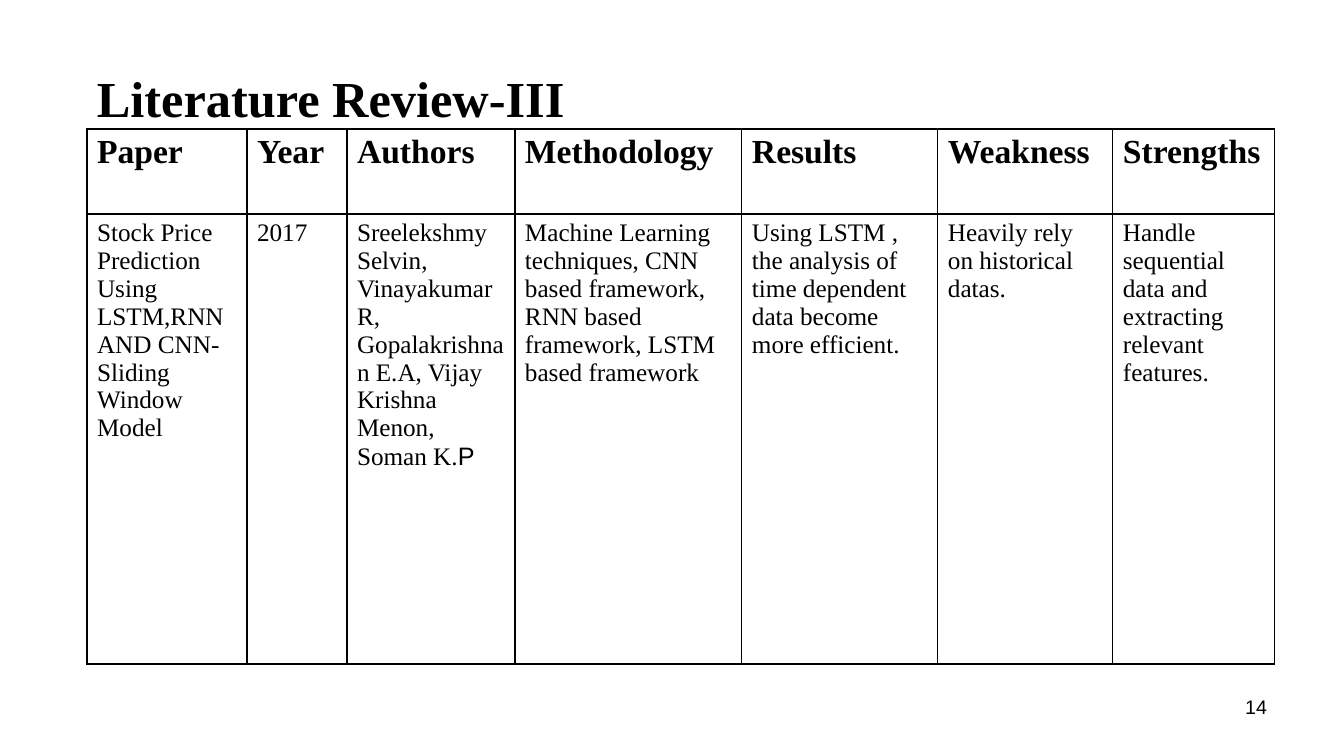
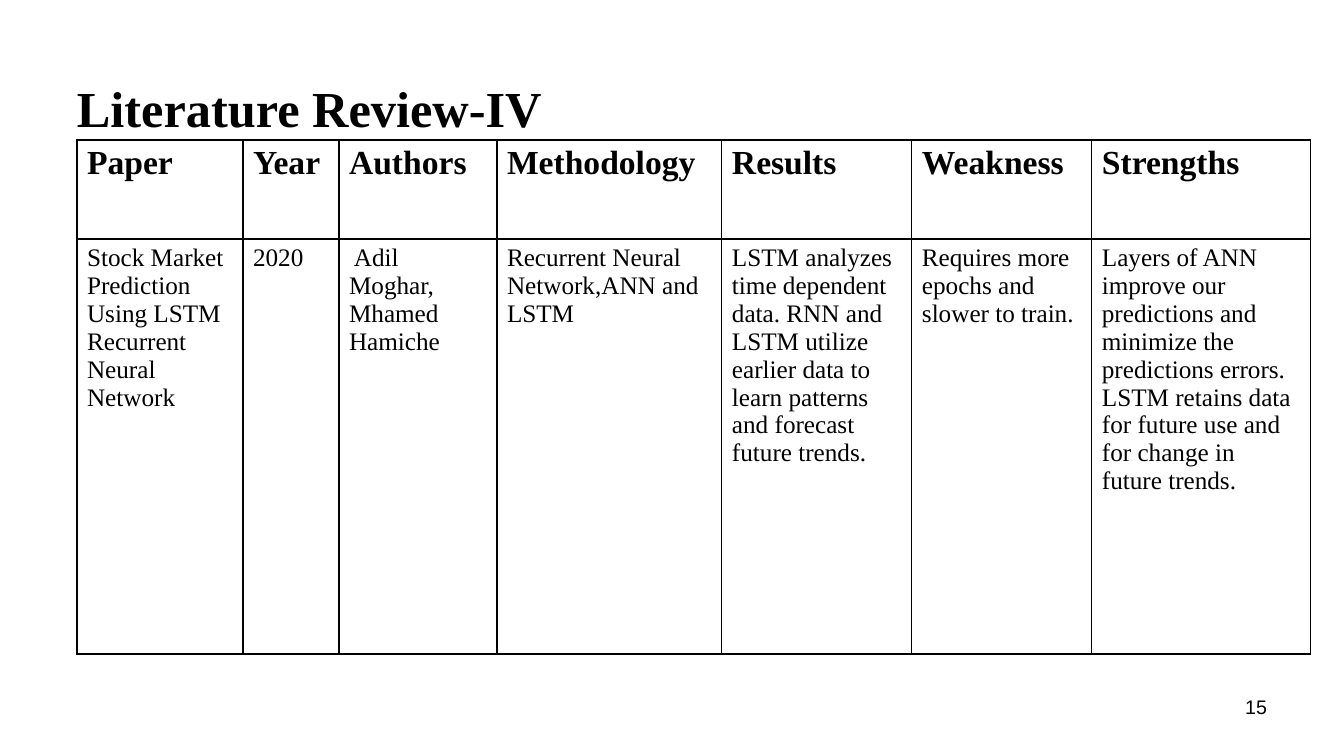
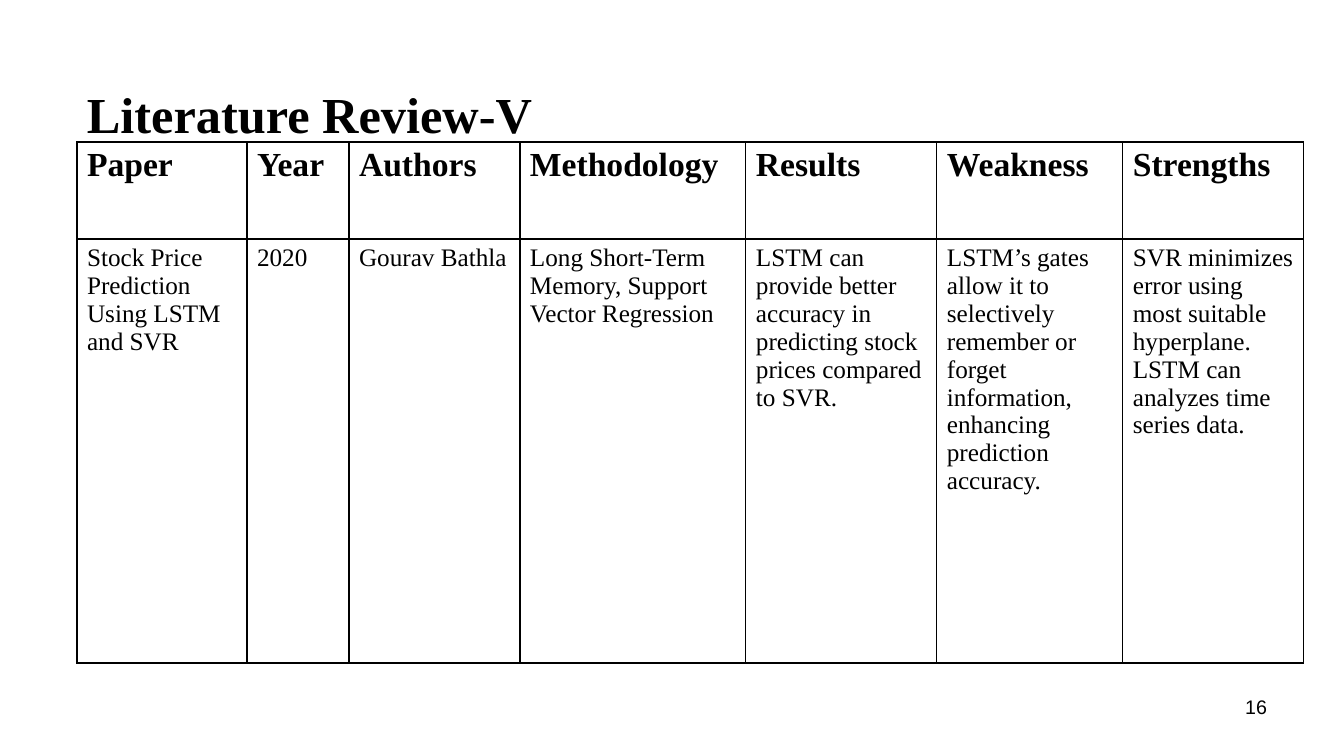
from pptx import Presentation
from pptx.dml.color import RGBColor
from pptx.enum.text import MSO_ANCHOR as Anchor, PP_ALIGN as Align
from pptx.oxml import parse_xml
from pptx.oxml.ns import nsdecls
from pptx.util import Emu, Pt

BLACK = RGBColor(0x00, 0x00, 0x00)
WHITE = RGBColor(0xFF, 0xFF, 0xFF)
SERIF = "Times New Roman"
SANS = "Arial"
SLIDE_SIZE = (1344, 756)
TITLE_SIZE = (1210, 126)
NUMBER_BOX = (964, 688, 313, 52)
FIRST_NUMBER = 14
HEADINGS = ["Paper", "Year", "Authors", "Methodology", "Results", "Weakness", "Strengths"]

REVIEWS = [
    {
        "title": "Literature Review-III",
        "title_at": (87, 30),
        "table_at": (87, 129),
        "columns": [160, 100, 168, 227, 196, 175, 162],
        "rows": [85, 450],
        "entries": [
            "Stock Price Prediction Using LSTM,RNN AND CNN-Sliding Window\nModel",
            "2017",
            "Sreelekshmy Selvin, Vinayakumar R, Gopalakrishnan E.A, Vijay Krishna Menon,\nSoman K.",
            "Machine Learning techniques, CNN based framework, RNN based framework, "
            "LSTM based framework",
            "Using LSTM , the analysis of time dependent\ndata become more efficient.",
            "Heavily rely on historical datas.",
            "Handle sequential data and extracting relevant features.",
        ],
        "author_initial": "P",
    },
    {
        "title": "Literature Review-IV",
        "title_at": (67, 40),
        "table_at": (77, 140),
        "columns": [166, 96, 158, 225, 190, 180, 219],
        "rows": [99, 415],
        "entries": [
            "Stock Market Prediction Using LSTM Recurrent Neural Network",
            "2020",
            " Adil Moghar, Mhamed Hamiche",
            "Recurrent Neural Network,ANN and LSTM",
            "LSTM analyzes time dependent data. RNN and LSTM utilize earlier data to learn "
            "patterns and forecast future trends.",
            "Requires more epochs and slower to train.",
            "Layers of ANN improve our predictions and minimize the predictions errors. "
            "LSTM retains data for future use and for change in future trends.",
        ],
    },
    {
        "title": "Literature Review-V",
        "title_at": (77, 46),
        "table_at": (77, 142),
        "columns": [170, 102, 171, 226, 191, 186, 181],
        "rows": [97, 424],
        "entries": [
            "Stock Price Prediction Using LSTM and SVR",
            "2020",
            "Gourav Bathla",
            "Long Short-Term Memory, Support Vector Regression",
            "LSTM can provide better accuracy in predicting stock\nprices compared to SVR.",
            "LSTM’s gates allow it to selectively remember or\n"
            "forget information, enhancing prediction accuracy.",
            "SVR minimizes error using most suitable\n"
            "hyperplane. LSTM can analyzes time series data.",
        ],
    },
]


def px(length):
    return Emu(round(length * 914400 / 100.8))


def write(frame, text, size, font, bold=False, align=Align.LEFT):
    frame.word_wrap = True
    frame.text = text
    for para in frame.paragraphs:
        para.alignment = align
        para.font.size = Pt(size)
        para.font.name = font
        para.font.bold = bold
        para.font.color.rgb = BLACK


def add_title(page, text, position):
    frame = page.shapes.add_textbox(*map(px, position + TITLE_SIZE)).text_frame
    frame.vertical_anchor = Anchor.MIDDLE
    frame.margin_top = px(13)
    write(frame, text, 36, SERIF, bold=True)


def add_number(page, number):
    frame = page.shapes.add_textbox(*map(px, NUMBER_BOX)).text_frame
    frame.margin_top = px(7)
    write(frame, str(number), 14, SANS, align=Align.RIGHT)


def outline(cell):
    properties = cell._tc.get_or_add_tcPr()
    for place, side in enumerate(("lnL", "lnR", "lnT", "lnB")):
        properties.insert(place, parse_xml(
            f'<a:{side} {nsdecls("a")} w="{Pt(1)}"><a:solidFill>'
            f'<a:srgbClr val="{BLACK}"/></a:solidFill></a:{side}>'))


def add_review_table(page, position, columns, rows, entries):
    box = position + (sum(columns), sum(rows))
    table = page.shapes.add_table(len(rows), len(columns), *map(px, box)).table
    table.first_row = False
    table.horz_banding = False
    for column, width in zip(table.columns, columns):
        column.width = px(width)
    for row, height in zip(table.rows, rows):
        row.height = px(height)
    for index, texts in enumerate((HEADINGS, entries)):
        heading = index == 0
        for cell, text in zip(table.rows[index].cells, texts):
            cell.fill.background()
            outline(cell)
            write(cell.text_frame, text, 24 if heading else 18, SERIF, bold=heading)
    return table


def add_review(deck, review, number):
    page = deck.slides.add_slide(deck.slide_layouts[6])
    page.background.fill.solid()
    page.background.fill.fore_color.rgb = WHITE
    add_title(page, review["title"], review["title_at"])
    table = add_review_table(page, review["table_at"], review["columns"],
                             review["rows"], review["entries"])
    if "author_initial" in review:
        authors = table.cell(1, HEADINGS.index("Authors")).text_frame
        span = authors.paragraphs[-1].add_run()
        span.text = review["author_initial"]
        span.font.name = SANS
    add_number(page, number)


def main():
    deck = Presentation()
    deck.slide_width, deck.slide_height = map(px, SLIDE_SIZE)
    for number, review in enumerate(REVIEWS, FIRST_NUMBER):
        add_review(deck, review, number)
    deck.save("out.pptx")


if __name__ == "__main__":
    main()
